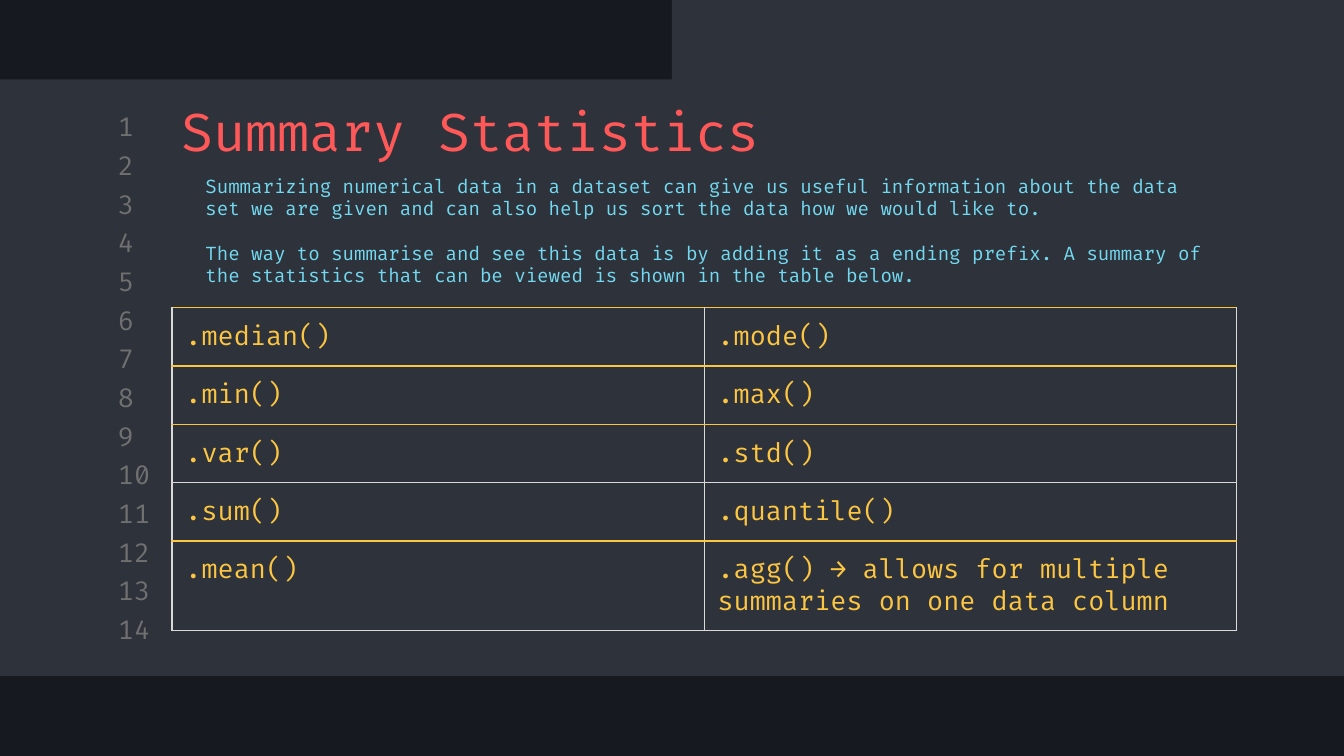
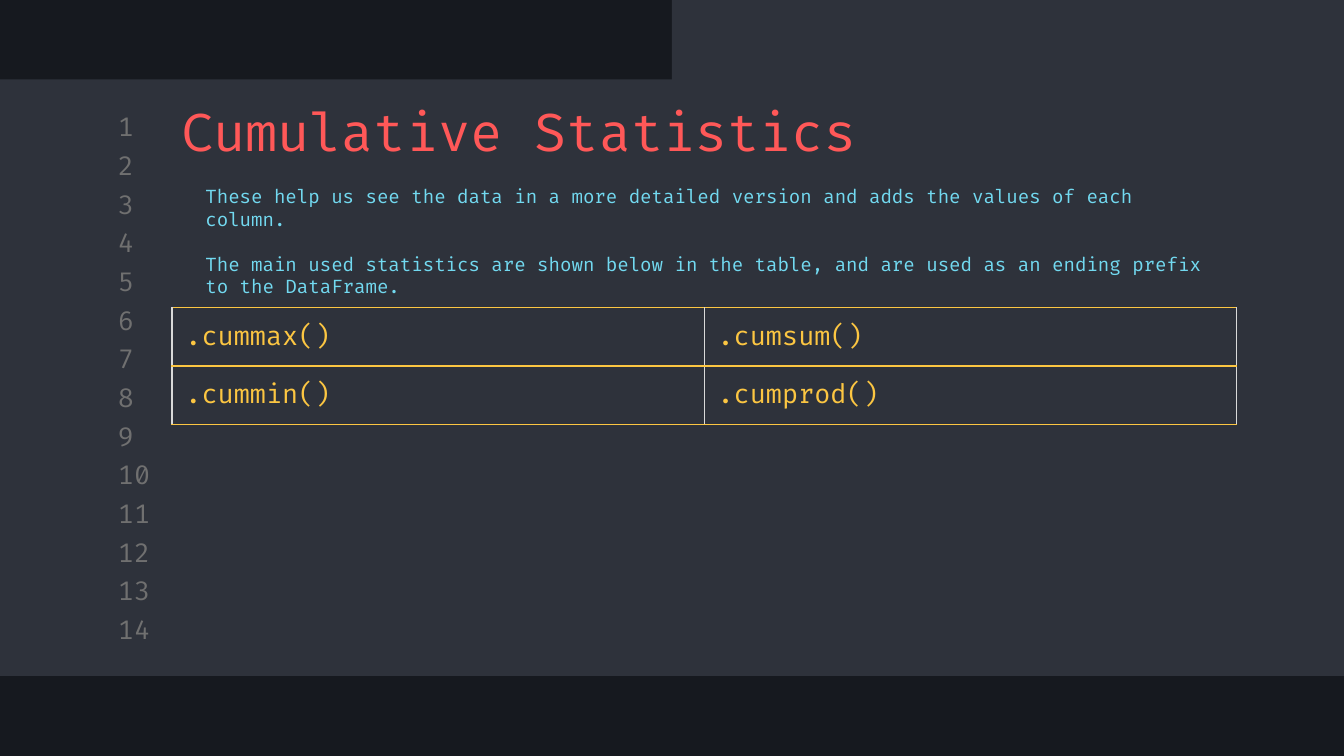
import pptx
import pptx.util
import pptx.dml.color
import pptx.enum.shapes
import pptx.enum.text
from lxml import etree
from pptx.dml.color import RGBColor
from pptx.util import Inches, Pt

# Content
SLIDES = [
    {
        "title": "Summary Statistics",
        "intro": [
            "Summarizing numerical data in a dataset can give us useful information about the data "
            "set we are given and can also help us sort the data how we would like to.",
            "The way to summarise and see this data is by adding it as a ending prefix. A summary of "
            "the statistics that can be viewed is shown in the table below.",
        ],
        "intro_lift": 0.08,
        "methods": [
            (".median()", ".mode()"),
            (".min()", ".max()"),
            (".var()", ".std()"),
            (".sum()", ".quantile()"),
            (".mean()", ".agg() → allows for multiple summaries on one data column"),
        ],
        "pale_rules": {3, 5},
    },
    {
        "title": "Cumulative Statistics",
        "intro": [
            "These help us see the data in a more detailed version and adds the values of each column.",
            "The main used statistics are shown below in the table, and are used as an ending prefix "
            "to the DataFrame.",
        ],
        "intro_lift": 0,
        "methods": [
            (".cummax()", ".cumsum()"),
            (".cummin()", ".cumprod()"),
        ],
        "pale_rules": set(),
    },
]

# Shared style
FONT = "Fira Code"
BACKDROP = RGBColor(0x16, 0x19, 0x1F)
EDITOR = RGBColor(0x2E, 0x32, 0x3B)
LINE_NUMBER = RGBColor(0x70, 0x70, 0x70)
HEADING = RGBColor(0xFF, 0x58, 0x58)
INTRO = RGBColor(0x72, 0xD9, 0xF0)
METHOD = RGBColor(0xFC, 0xC6, 0x42)
PALE = RGBColor(0xD9, 0xD9, 0xD9)

# Geometry in inches
WIDTH = 10
HEIGHT = WIDTH * 9 / 16
PANELS = [(0, 0.59, WIDTH, 4.44), (WIDTH / 2, 0, WIDTH / 2, 0.65)]
LINE_COUNT = 14
FIRST_LINE, LAST_LINE = 0.82, 4.56
LINE_PITCH = (LAST_LINE - FIRST_LINE) / (LINE_COUNT - 1)
TITLE_BOX = (1.25, 0.64, 7.97, 0.59)
INTRO_BOX = (1.43, 1.23, 7.62, 1.13)
TABLE_LEFT, TABLE_TOP = 1.28, 2.29
COLUMN, ROW = 3.96, 0.42
INSET = 0.1

TOP = pptx.enum.text.MSO_ANCHOR.TOP
MIDDLE = pptx.enum.text.MSO_ANCHOR.MIDDLE


def add_run(paragraph, text, size, color):
    run = paragraph.add_run()
    run.text = text
    run.font.name = FONT
    run.font.size = Pt(size)
    run.font.color.rgb = color


def add_text(slide, box, paragraphs, size, color, anchor, lift=0):
    frame = slide.shapes.add_textbox(*map(Inches, box)).text_frame
    frame.word_wrap = True
    frame.vertical_anchor = anchor
    frame.margin_left = frame.margin_right = Inches(INSET)
    frame.margin_top = Inches(INSET - lift)
    frame.margin_bottom = Inches(INSET + lift)
    for index, text in enumerate(paragraphs):
        paragraph = frame.paragraphs[0]
        if index:
            paragraph = frame.add_paragraph()
            paragraph.space_before = Pt(12)
        add_run(paragraph, text, size, color)


def add_editor(slide):
    """Dark backdrop, editor panels and the column of line numbers."""
    slide.background.fill.solid()
    slide.background.fill.fore_color.rgb = BACKDROP
    for box in PANELS:
        panel = slide.shapes.add_shape(
            pptx.enum.shapes.MSO_SHAPE.RECTANGLE, *map(Inches, box))
        panel.shadow.inherit = False
        panel.fill.solid()
        panel.fill.fore_color.rgb = EDITOR
        panel.line.fill.background()
    for index in range(LINE_COUNT):
        box = (0.78, FIRST_LINE + index * LINE_PITCH, 0.47, 0.24)
        add_text(slide, box, [str(index + 1)], 14, LINE_NUMBER, MIDDLE)


def set_borders(cell, colors):
    """Draw each side of a cell; the sides come before the fill in the XML."""
    properties = cell._tc.get_or_add_tcPr()
    ns = "{http://schemas.openxmlformats.org/drawingml/2006/main}"
    for position, (side, color) in enumerate(colors.items()):
        line = etree.Element(ns + side, w=str(Pt(0.75)))
        fill = etree.SubElement(line, ns + "solidFill")
        etree.SubElement(fill, ns + "srgbClr", val=str(color))
        properties.insert(position, line)


def add_methods(slide, methods, pale_rules):
    columns = len(methods[0])
    table = slide.shapes.add_table(
        len(methods), columns, Inches(TABLE_LEFT), Inches(TABLE_TOP),
        Inches(COLUMN * columns), Inches(ROW * len(methods))).table
    table.first_row = table.horz_banding = False
    rules = [PALE if rule in pale_rules else METHOD for rule in range(len(methods) + 1)]
    for r, names in enumerate(methods):
        for c, name in enumerate(names):
            cell = table.cell(r, c)
            cell.fill.background()
            cell.margin_left = cell.margin_right = Inches(INSET)
            cell.margin_top = cell.margin_bottom = Inches(INSET)
            add_run(cell.text_frame.paragraphs[0], name, 14, METHOD)
            set_borders(cell, {"lnL": PALE, "lnR": PALE,
                               "lnT": rules[r], "lnB": rules[r + 1]})


def main():
    deck = pptx.Presentation()
    deck.slide_width, deck.slide_height = Inches(WIDTH), Inches(HEIGHT)
    for content in SLIDES:
        slide = deck.slides.add_slide(deck.slide_layouts[6])
        add_editor(slide)
        add_text(slide, TITLE_BOX, [content["title"]], 28, HEADING, TOP)
        add_text(slide, INTRO_BOX, content["intro"], 10, INTRO, MIDDLE, content["intro_lift"])
        add_methods(slide, content["methods"], content["pale_rules"])
    deck.save("out.pptx")


if __name__ == "__main__":
    main()
